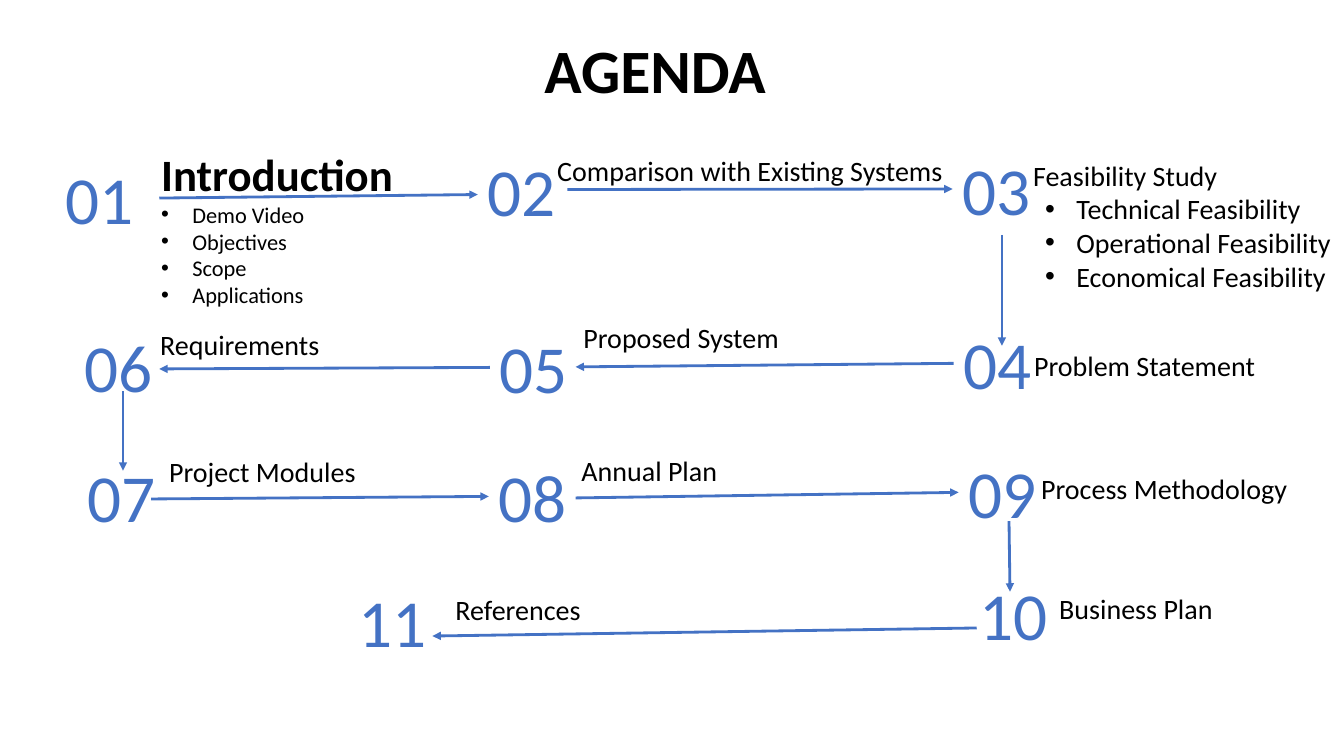
from lxml import etree
from pptx import Presentation
from pptx.dml.color import RGBColor as RGB
from pptx.enum.shapes import MSO_CONNECTOR as LINK
from pptx.enum.text import MSO_ANCHOR as ANCHOR, MSO_AUTO_SIZE as FIT, PP_ALIGN as ALIGN
from pptx.oxml.ns import qn
from pptx.util import Inches, Pt

COLORS = {"text": "000000", "accent": "4472C4"}
FONT = "Calibri"
COLUMNS, ROWS = 80, 45
LEFT, RIGHT = 1, 3  # connection sites


class AgendaSlide:
    """Draws on one slide, measured in columns and rows of a grid."""

    def __init__(self, deck):
        self.slide = deck.slides.add_slide(deck.slide_layouts[5])
        self.column = deck.slide_width / COLUMNS
        self.row = deck.slide_height / ROWS

    def spot(self, col, row):
        return round(col * self.column), round(row * self.row)

    def add_words(self, paragraph, text, size, color="text", bold=False):
        run = paragraph.add_run()
        run.text = text
        style = {"name": FONT, "size": Pt(size), "bold": bold}
        for key, value in style.items():
            setattr(run.font, key, value)
        run.font.color.rgb = RGB.from_string(COLORS[color])

    def title(self, text, col, row, width, height):
        heading = self.slide.shapes.title
        heading.left, heading.top = self.spot(col, row)
        heading.width, heading.height = self.spot(width, height)
        heading.text_frame.vertical_anchor = ANCHOR.MIDDLE
        line = heading.text_frame.paragraphs[0]
        line.alignment, line.line_spacing = ALIGN.CENTER, 0.9
        self.add_words(line, text, 44, bold=True)

    def box(self, col, row, width, height, wrap):
        area = self.slide.shapes.add_textbox(*self.spot(col, row), *self.spot(width, height))
        area.text_frame.word_wrap = wrap
        area.text_frame.auto_size = FIT.SHAPE_TO_FIT_TEXT
        return area

    def number(self, text, col, row):
        area = self.box(col, row, 6.18, 5.46, True)
        self.add_words(area.text_frame.paragraphs[0], text, 48, "accent")
        return area

    def label(self, text, col, row, width, height=2.64, size=20, bold=False,
              wrap=False, indent=0, bullets=(), bullet_size=20, level=0):
        frame = self.box(col, row, width, height, wrap).text_frame
        heading = frame.paragraphs[0]
        if indent:
            heading._p.get_or_add_pPr().set("marL", str(Inches(indent)))
        self.add_words(heading, text, size, bold=bold)
        for item in bullets:
            point = frame.add_paragraph()
            point.level = level
            props = point._p.get_or_add_pPr()
            props.set("marL", str(Inches(0.31 + 0.5 * level)))
            props.set("indent", str(Inches(-0.31)))
            etree.SubElement(props, qn("a:buFont"), typeface="Arial")
            etree.SubElement(props, qn("a:buChar"), char="•")
            self.add_words(point, item, bullet_size)

    def arrow(self, start, end, leaves=None, reaches=None):
        link = self.slide.shapes.add_connector(
            LINK.STRAIGHT, *self.spot(*start), *self.spot(*end))
        if leaves:
            link.begin_connect(*leaves)
        if reaches:
            link.end_connect(*reaches)
        link.line.width = Pt(2)
        link.line.color.rgb = RGB.from_string(COLORS["accent"])
        props = link._element.spPr
        etree.SubElement(props.find(qn("a:ln")), qn("a:tailEnd"), type="triangle")
        etree.SubElement(props, qn("a:effectLst"))


def main():
    deck = Presentation()
    deck.slide_width, deck.slide_height = Inches(13.33), Inches(7.5)
    agenda = AgendaSlide(deck)
    agenda.title("AGENDA", 4.5, 0, 69, 8.7)

    # Topics with sub-points
    agenda.label("Introduction", 9, 8.46, 23.22, 12.12, size=32, bold=True, wrap=True,
                 bullets=("Demo Video", "Objectives", "Scope", "Applications"),
                 bullet_size=16)
    agenda.label("Feasibility Study", 58.62, 9.12, 21.48, 10.5, indent=0.38, level=1,
                 bullets=("Technical Feasibility", "Operational Feasibility",
                          "Economical Feasibility"))

    # Single-line topics: text, column, row, width
    for topic in (
        ("Comparison with Existing Systems", 32.58, 8.82, 24.36),
        ("Problem Statement", 60.96, 20.46, 14.52),
        ("Proposed System", 34.14, 18.78, 13.02),
        ("Requirements", 8.94, 19.2, 10.8),
        ("Project Modules", 9.48, 26.76, 12.42),
        ("Annual Plan", 34.02, 26.7, 9.36),
        ("Process Methodology", 61.38, 27.78, 15.96),
        ("Business Plan", 62.46, 34.92, 10.44),
        ("References", 26.52, 34.98, 8.76),
    ):
        agenda.label(*topic)

    # Step numbers, in order
    places = ((3.3, 9.06), (28.44, 8.58), (56.7, 8.52), (56.76, 18.9),
              (29.16, 19.14), (4.44, 19.08), (4.62, 26.82), (29.1, 26.82),
              (57.06, 26.58), (57.72, 33.84), (20.76, 34.26))
    steps = {n: agenda.number(f"{n:02}", *place) for n, place in enumerate(places, 1)}

    # Arrows from each step to the next: start, end, joined sides
    for start, end, leaves, reaches in (
        ((9.48, 11.79), (28.44, 11.58), (steps[1], RIGHT), None),
        ((33.78, 11.28), (56.7, 11.25), None, (steps[3], LEFT)),
        ((59.64, 13.98), (59.64, 20.58), None, None),
        ((56.76, 21.63), (34.26, 21.84), (steps[4], LEFT), None),
        ((29.16, 21.87), (9.48, 21.96), (steps[5], LEFT), None),
        ((7.32, 23.28), (7.32, 28.02), None, None),
        ((9, 29.7), (29.1, 29.55), None, (steps[8], LEFT)),
        ((34.26, 29.64), (57.06, 29.31), None, (steps[9], LEFT)),
        ((60.06, 31.02), (60.12, 35.22), None, None),
        ((58.14, 37.38), (25.74, 37.86), None, None),
    ):
        agenda.arrow(start, end, leaves, reaches)

    deck.save("out.pptx")


if __name__ == "__main__":
    main()
